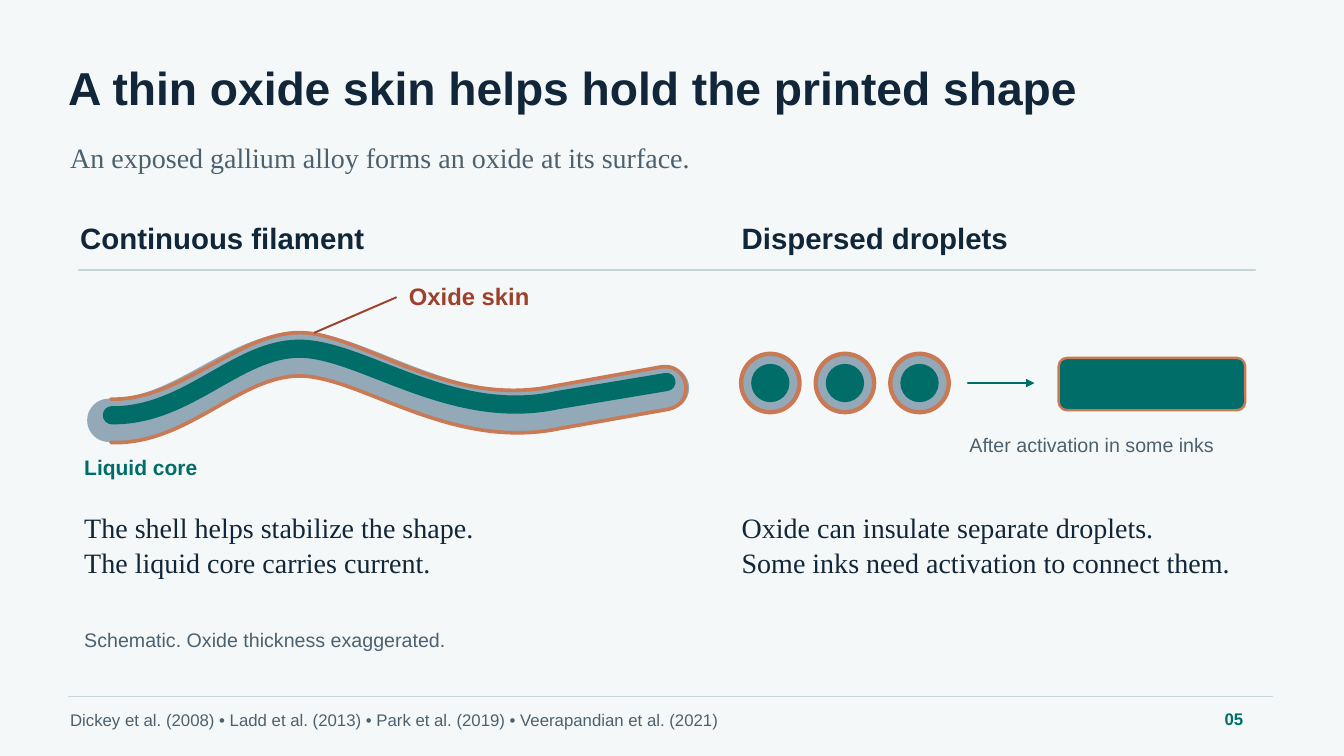
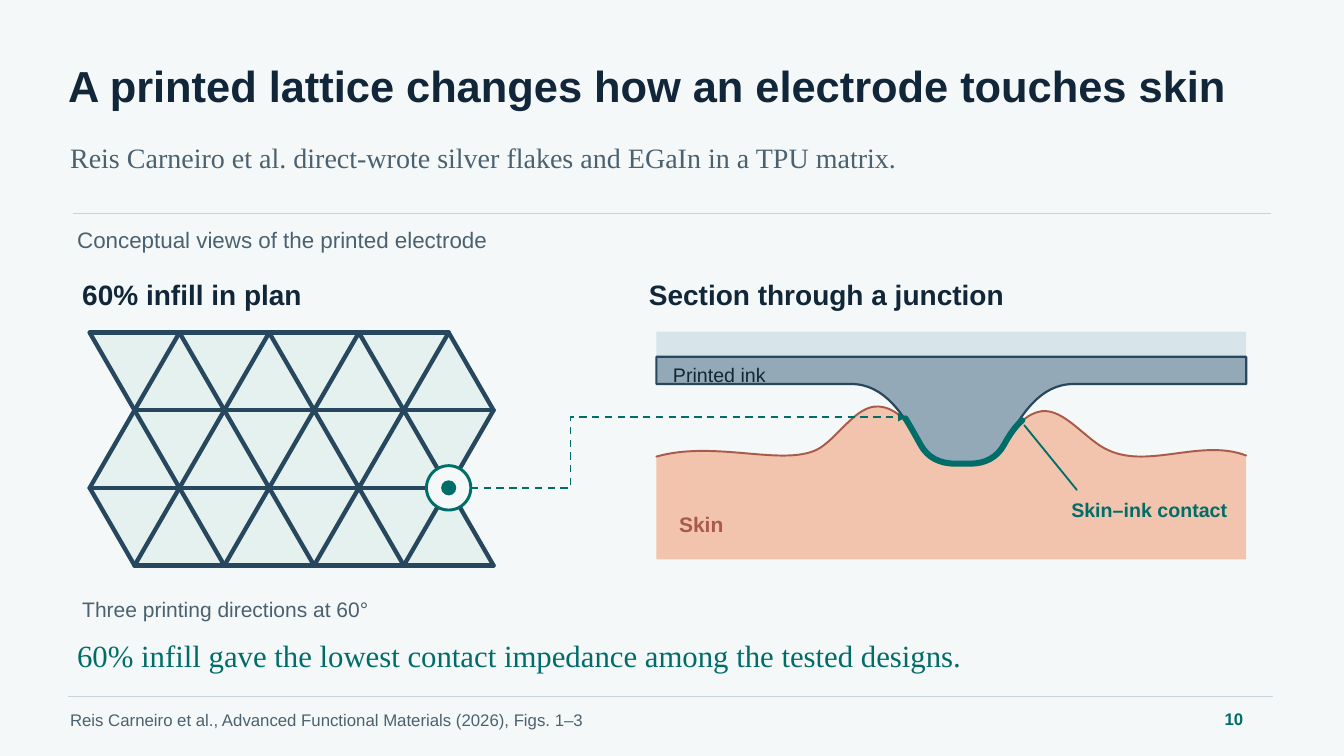
"""Build two slides on printed liquid metal and electrode contact."""
from lxml import etree
from pptx import Presentation
from pptx import util as u
from pptx.dml import color
from pptx.enum import dml, shapes
from pptx.oxml import ns

RGB = color.RGBColor
PAPER = RGB(0xF5, 0xF8, 0xF8)
NAVY = RGB(0x11, 0x26, 0x38)
SLATE = RGB(0x4C, 0x61, 0x70)
RULE = RGB(0xC7, 0xD5, 0xDB)
TEAL = RGB(0x00, 0x6D, 0x68)
STEEL = RGB(0x93, 0xA9, 0xB7)
COPPER = RGB(0xCA, 0x79, 0x55)
RUST = RGB(0x9C, 0x41, 0x2C)
INK = RGB(0x27, 0x47, 0x5E)
MINT = RGB(0xE5, 0xF1, 0xEF)
FILM = RGB(0xD7, 0xE5, 0xEB)
SKIN = RGB(0xF2, 0xC3, 0xAD)
EDGE = RGB(0xA9, 0x5B, 0x49)
SANS, SERIF = "Arial", "Times New Roman"
WIDE, HIGH = 13.33, 7.5
KIND = shapes.MSO_SHAPE
LINK = shapes.MSO_CONNECTOR


def write(slide, text, x, y, w, h, size=14, hue=NAVY, font=SANS, bold=False):
    """Add a text box with one paragraph per line of text."""
    box = slide.shapes.add_textbox(*map(u.Inches, (x, y, w, h)))
    frame = box.text_frame
    frame.word_wrap = False
    frame.margin_left = frame.margin_right = u.Pt(1.1)
    frame.margin_top = frame.margin_bottom = u.Pt(1.1)
    for i, row in enumerate(text.split("\n")):
        para = frame.add_paragraph() if i else frame.paragraphs[0]
        para.line_spacing = u.Pt(round(size * 1.26, 1))
        run = para.add_run()
        run.text = row
        run.font.name, run.font.size = font, u.Pt(size)
        run.font.bold, run.font.color.rgb = bold, hue


def stroke(item, hue, width, dash=False, arrow=False):
    """Style the line of a shape or connector."""
    line = item.line
    line.color.rgb = hue
    line.width = u.Pt(width)
    tag = line._get_or_add_ln()
    if dash:
        line.dash_style = dml.MSO_LINE.DASH
    else:
        tag.set("cap", "rnd")
    etree.SubElement(tag, ns.qn("a:round"))
    if arrow:
        etree.SubElement(tag, ns.qn("a:tailEnd"), type="triangle")


def paint(item, fill=None, hue=None, width=1):
    """Set the fill and outline of a shape without a shadow."""
    item.shadow.inherit = False
    if fill is None:
        item.fill.background()
    else:
        item.fill.solid()
        item.fill.fore_color.rgb = fill
    if hue is None:
        item.line.fill.background()
    else:
        stroke(item, hue, width)
    return item


def block(slide, kind, x, y, w, h, **look):
    """Add a painted preset shape."""
    item = slide.shapes.add_shape(kind, *map(u.Inches, (x, y, w, h)))
    return paint(item, **look)


def disc(slide, x, y, size, **look):
    """Add a circle about a centre."""
    block(slide, KIND.OVAL, x - size / 2, y - size / 2, size, size, **look)


def join(slide, start, end, hue, width, kind=LINK.STRAIGHT, **look):
    """Add a connector between two points."""
    item = slide.shapes.add_connector(kind, *map(u.Inches, (*start, *end)))
    stroke(item, hue, width, **look)
    etree.SubElement(item._element.spPr, ns.qn("a:effectLst"))
    return item


def draw(slide, start, parts, close=False, **look):
    """Add a freeform of straight (x, y) and cubic six-number parts."""
    dots = [(u.Inches(p[i]), u.Inches(p[i + 1]))
            for p in parts for i in range(0, len(p), 2)]
    form = slide.shapes.build_freeform(*map(u.Inches, start))
    form.add_line_segments(dots, close=close)
    item = form.convert_to_shape()
    legs = iter(list(item._element.iter(ns.qn("a:lnTo"))))
    for part in parts:
        group = [next(legs) for _ in range(len(part) // 2)]
        if len(group) == 3:
            bend = etree.Element(ns.qn("a:cubicBezTo"))
            group[0].addprevious(bend)
            for leg in group:
                bend.append(leg[0])
                leg.getparent().remove(leg)
    return paint(item, **look)


def page(deck, title, size, lead, cite, num):
    """Add a slide with its ground, title, lead, footer and number."""
    slide = deck.slides.add_slide(deck.slide_layouts[6])
    block(slide, KIND.RECTANGLE, 0, 0, WIDE, HIGH, fill=PAPER)
    write(slide, title, 0.66, 0.55, 12.02, 0.6, size=size, bold=True)
    write(slide, lead, 0.68, 1.36, 12, 0.38, size=20, hue=SLATE, font=SERIF)
    join(slide, (0.68, 6.91), (12.62, 6.91), RULE, 0.85)
    write(slide, cite, 0.68, 7.02, 11.2, 0.25, size=12, hue=SLATE)
    write(slide, num, 12.13, 7.01, 0.49, 0.25, size=12, hue=TEAL, bold=True)
    return slide


def thread(slide):
    """Draw the filament with its core and oxide skin."""
    draw(slide, (1.08, 4.17), [(1.8, 4.18, 2.35, 3.51, 2.97, 3.51),
                               (3.59, 3.51, 4.46, 4.26, 5.53, 4.04),
                               (6.62, 3.85)], hue=STEEL, width=31)
    draw(slide, (1.11, 4.12), [(1.86, 4.13, 2.35, 3.46, 2.97, 3.46),
                               (3.59, 3.46, 4.48, 4.2, 5.53, 3.97),
                               (6.61, 3.79)], hue=TEAL, width=13)
    top = [(1.78, 3.98, 2.37, 3.3, 2.97, 3.3),
           (3.58, 3.3, 4.44, 4.06, 5.5, 3.83), (6.56, 3.64)]
    low = [(1.85, 4.42, 2.37, 3.73, 2.97, 3.73),
           (3.58, 3.73, 4.46, 4.48, 5.56, 4.25), (6.63, 4.06)]
    cap = [(6.83, 3.6, 6.91, 4, 6.63, 4.06)]
    for start, parts in (((1.1, 3.96), top), ((1.1, 4.39), low),
                         (top[-1], cap)):
        draw(slide, start, parts, hue=COPPER, width=2.6)
    join(slide, (3.12, 3.3), (3.93, 2.95), RUST, 1.4)
    write(slide, "Oxide skin", 4.04, 2.77, 2.55, 0.33, size=17, hue=RUST,
          bold=True)
    write(slide, "Liquid core", 0.82, 4.48, 2.1, 0.3, size=15, hue=TEAL,
          bold=True)


def drops(slide):
    """Draw the droplets and the joined ink."""
    for i in range(3):
        x = 7.64 + 0.74 * i
        disc(slide, x, 3.8, 0.58, fill=STEEL, hue=COPPER, width=3.1)
        disc(slide, x, 3.8, 0.38, fill=TEAL)
    join(slide, (9.6, 3.8), (10.26, 3.8), TEAL, 1.35, arrow=True)
    bar = block(slide, KIND.ROUNDED_RECTANGLE, 10.5, 3.55, 1.85, 0.52,
                fill=TEAL, hue=COPPER, width=1.7)
    bar.adjustments[0] = 0.16
    write(slide, "After activation in some inks", 9.6, 4.27, 2.91, 0.28,
          hue=SLATE)


def oxide(deck):
    """Build the oxide skin slide."""
    slide = page(deck, "A thin oxide skin helps hold the printed shape", 33,
                 "An exposed gallium alloy forms an oxide at its surface.",
                 "Dickey et al. (2008) • Ladd et al. (2013) • "
                 "Park et al. (2019) • Veerapandian et al. (2021)", "05")
    for x, w, text in ((0.78, 5.7, "Continuous filament"),
                       (7.34, 4.65, "Dispersed droplets")):
        write(slide, text, x, 2.15, w, 0.4, size=21, bold=True)
    join(slide, (0.78, 2.68), (12.45, 2.68), RULE, 1)
    thread(slide)
    drops(slide)
    for x, w, text in ((0.82, 5.96, "The shell helps stabilize the shape.\n"
                        "The liquid core carries current."),
                       (7.34, 5.06, "Oxide can insulate separate droplets.\n"
                        "Some inks need activation to connect them.")):
        write(slide, text, x, 5.03, w, 0.73, size=20, font=SERIF)
    write(slide, "Schematic. Oxide thickness exaggerated.", 0.82, 6.2, 9.6,
          0.32, hue=SLATE)


def node(row, col):
    """Give the place of a lattice node."""
    return 0.89 + 0.89 * (col + row % 2 / 2), 3.3 + 0.77 * row


def mesh(slide):
    """Draw the triangular lattice."""
    rim = [node(r, 4) for r in range(4)] + [node(r, 0) for r in (3, 2, 1)]
    draw(slide, node(0, 0), rim, close=True, fill=MINT)
    bars = [(node(r, 0), node(r, 4)) for r in range(4)]
    for r in range(3):
        even, odd = (r, r + 1) if r % 2 == 0 else (r + 1, r)
        bars += [(node(even, i), node(odd, j)) for i in range(5)
                 for j in (i - 1, i) if j >= 0]
    for start, end in bars:
        join(slide, start, end, INK, 3.1)


def cut(slide):
    """Draw the section through skin and printed ink."""
    block(slide, KIND.RECTANGLE, 6.51, 3.29, 5.85, 0.25, fill=FILM)
    dip = [(9.2, 4.54, 9.32, 4.6, 9.48, 4.6), (9.62, 4.6),
           (9.77, 4.6, 9.89, 4.54, 9.96, 4.41)]
    top = [(7.11, 4.36, 7.81, 4.65, 8.14, 4.44),
           (8.35, 4.3, 8.52, 3.98, 8.76, 4.04),
           (8.91, 4.07, 9.04, 4.22, 9.13, 4.41), *dip,
           (10.06, 4.24, 10.18, 4.1, 10.33, 4.08),
           (10.56, 4.05, 10.78, 4.38, 11, 4.47),
           (11.4, 4.65, 11.92, 4.35, 12.36, 4.52)]
    draw(slide, (6.51, 4.53), top + [(12.36, 5.55), (6.51, 5.55)],
         close=True, fill=SKIN)
    draw(slide, (6.51, 4.53), top, hue=EDGE, width=1.4)
    pad = [(12.36, 3.54), (12.36, 3.81), (10.65, 3.81),
           (10.31, 3.81, 10.13, 4.12, 9.96, 4.41),
           (9.89, 4.54, 9.77, 4.6, 9.62, 4.6), (9.48, 4.6),
           (9.32, 4.6, 9.2, 4.54, 9.13, 4.41),
           (8.96, 4.12, 8.78, 3.81, 8.44, 3.81), (6.51, 3.81)]
    draw(slide, (6.51, 3.54), pad, close=True, fill=STEEL, hue=INK,
         width=1.55)
    write(slide, "Printed ink", 6.66, 3.57, 1.7, 0.28)
    write(slide, "Skin", 6.72, 5.05, 1, 0.3, size=15, hue=EDGE, bold=True)
    return dip


def touch(slide, dip):
    """Mark the junction and the contact between skin and ink."""
    x, y = node(2, 4)
    disc(slide, x, y, 0.44, fill=PAPER, hue=TEAL, width=2.1)
    disc(slide, x, y, 0.15, fill=TEAL)
    lead = join(slide, (x + 0.22, y), (8.99, 4.14), TEAL, 1.3,
                kind=LINK.ELBOW, dash=True, arrow=True)
    geom = lead._element.spPr.find(ns.qn("a:prstGeom"))
    etree.SubElement(geom.find(ns.qn("a:avLst")), ns.qn("a:gd"),
                     name="adj1", fmla="val 22900")
    draw(slide, (8.98, 4.15), [(9.03, 4.23, 9.08, 4.32, 9.13, 4.41), *dip,
                               (10.02, 4.3, 10.08, 4.22, 10.14, 4.17)],
         hue=TEAL, width=4.3)
    join(slide, (10.16, 4.22), (10.68, 4.86), TEAL, 1.3)
    write(slide, "Skin–ink contact", 10.61, 4.91, 1.74, 0.28, hue=TEAL,
          bold=True)


def lattice(deck):
    """Build the printed lattice slide."""
    slide = page(deck, "A printed lattice changes how an electrode touches "
                 "skin", 31, "Reis Carneiro et al. direct-wrote silver flakes "
                 "and EGaIn in a TPU matrix.",
                 "Reis Carneiro et al., Advanced Functional Materials (2026), "
                 "Figs. 1–3", "10")
    join(slide, (0.73, 2.12), (12.6, 2.12), RULE, 1.2)
    write(slide, "Conceptual views of the printed electrode", 0.75, 2.21,
          11.68, 0.31, size=16, hue=SLATE)
    for x, w, text in ((0.8, 4.7, "60% infill in plan"),
                       (6.42, 5.96, "Section through a junction")):
        write(slide, text, x, 2.72, w, 0.38, size=20, bold=True)
    mesh(slide)
    write(slide, "Three printing directions at 60°", 0.8, 5.89, 4.65, 0.3,
          size=15, hue=SLATE)
    touch(slide, cut(slide))
    write(slide, "60% infill gave the lowest contact impedance among the "
          "tested designs.", 0.75, 6.28, 12, 0.42, size=22, hue=TEAL,
          font=SERIF)


def main():
    """Build and save the deck."""
    deck = Presentation()
    deck.slide_width, deck.slide_height = u.Inches(WIDE), u.Inches(HIGH)
    oxide(deck)
    lattice(deck)
    deck.save("out.pptx")


if __name__ == "__main__":
    main()
